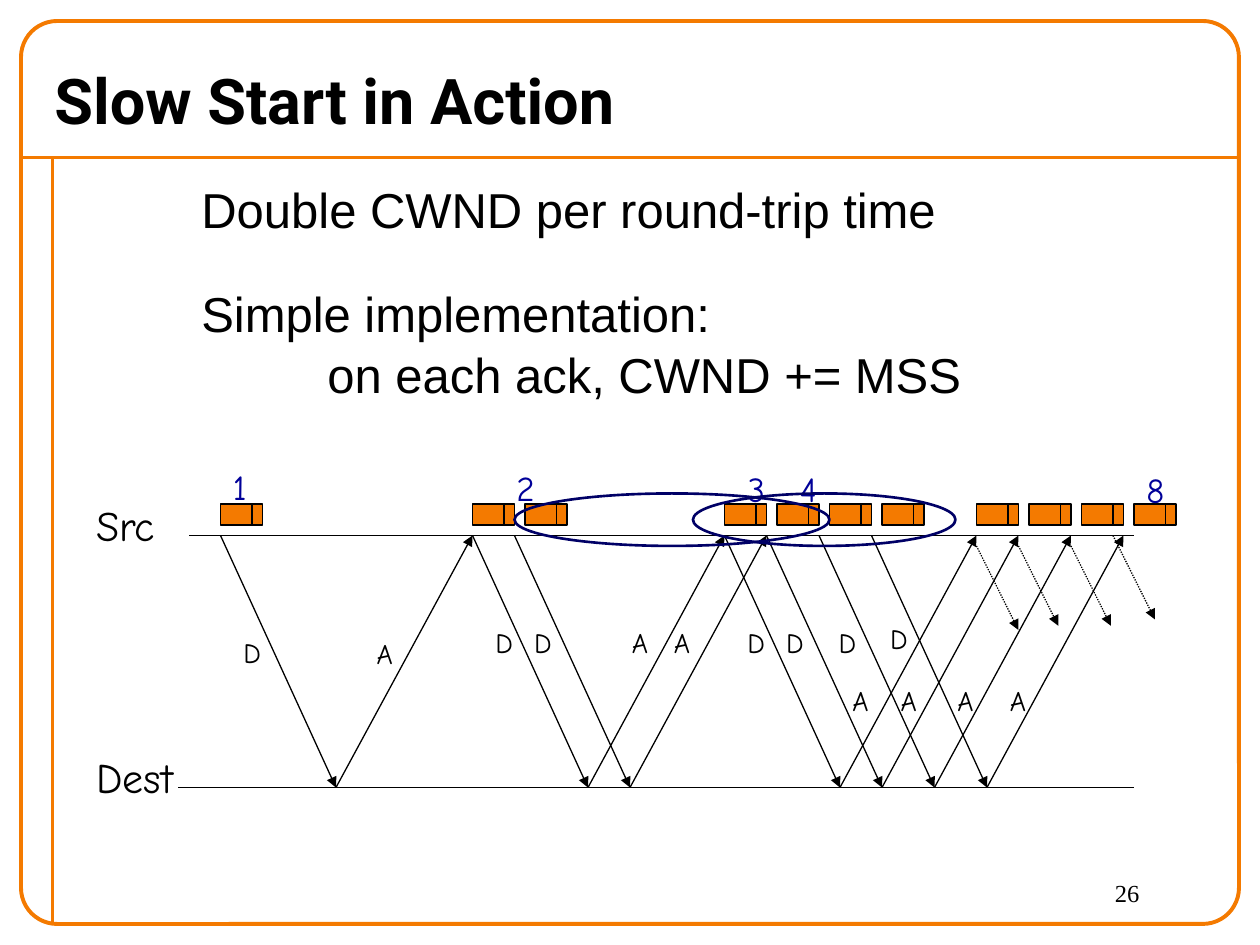
"""Build the slide on slow start, set out on a grid of twelfths of an inch."""
from typing import NamedTuple, Optional

from lxml import etree
from pptx import Presentation
from pptx.dml.color import RGBColor
from pptx.enum.dml import MSO_LINE
from pptx.enum.shapes import MSO_CONNECTOR, MSO_SHAPE
from pptx.enum.text import MSO_ANCHOR, MSO_AUTO_SIZE
from pptx.oxml.ns import qn
from pptx.util import Cm, Pt

LINE = MSO_CONNECTOR.STRAIGHT
RECT = MSO_SHAPE.RECTANGLE
ROUND = MSO_SHAPE.ROUNDED_RECTANGLE
OVAL = MSO_SHAPE.OVAL
DOTS = MSO_LINE.ROUND_DOT
MIDDLE = MSO_ANCHOR.MIDDLE
FIT = MSO_AUTO_SIZE.SHAPE_TO_FIT_TEXT

COLORS = {"ink": "000000", "orange": "F47A00", "count": "000099", "ring": "000066"}
HAND = "Comic Neue"
SRC, DEST = 51, 75
DOWN, UP = 11, 13


class Box(NamedTuple):
    """Left, top, width and height in grid steps."""
    x: float
    y: float
    w: float
    h: float


class Path(NamedTuple):
    """Start and end of a line in grid steps."""
    x1: float
    y1: float
    x2: float
    y2: float


class Style(NamedTuple):
    """Font, size, colour and weight of a text."""
    font: str
    size: int
    color: str = "ink"
    bold: bool = False


class Label(NamedTuple):
    """A short text and its left top corner in grid steps."""
    text: str
    x: float
    y: float


PACKETS = (21, 45, 50, 69, 74, 79, 84, 93, 98, 103, 108)
SENDS = (21, 45, 49, 69, 73, 78, 83)
NEXT = (
    Path(93, 52, 97, 60),
    Path(97, 52, 100.8, 59.6),
    Path(102, 52, 105.8, 59.6),
    Path(106, SRC, 110, 59),
)
RINGS = (Box(49, 47, 30, 5), Box(66, 47, 25, 5))
MARKS = (
    Label("D", 22, 59.9), Label("A", 34.7, 60),
    Label("D", 46, 59), Label("D", 49.7, 59),
    Label("A", 59, 59), Label("A", 63, 59),
    Label("D", 70, 59), Label("D", 73.7, 59),
    Label("D", 78.7, 59), Label("D", 83.6, 58.6),
    Label("A", 80, 64.5), Label("A", 84.6, 64.5),
    Label("A", 90, 64.5), Label("A", 95, 64.5),
)
COUNTS = (
    Label("1", 21, 43.7), Label("2", 48, 43.8), Label("3", 70, 43.9),
    Label("4", 75, 43.9), Label("8", 108, 44),
)
HOSTS = (Label("Src", 8, 47), Label("Dest", 8, 71))


def grid(steps: float) -> Cm:
    """Turn grid steps into a length."""
    return Cm(steps * 2.54 / 12)


def paint(name: str) -> RGBColor:
    """Look up a colour."""
    return RGBColor.from_string(COLORS[name])


def draw_line(slide, path: Path, color: str = "ink", width: float = 0.75,
              arrow: bool = False, dash: Optional[MSO_LINE] = None) -> None:
    """Draw a straight line, with an arrowhead at its end if asked."""
    line = slide.shapes.add_connector(LINE, *map(grid, path))
    line.line.color.rgb = paint(color)
    line.line.width = Pt(width)
    if dash is not None:
        line.line.dash_style = dash
    if arrow:
        etree.SubElement(line.line._get_or_add_ln(), qn("a:tailEnd"), type="triangle")
    etree.SubElement(line._element.spPr, qn("a:effectLst"))


def draw_shape(slide, kind: MSO_SHAPE, box: Box, color: str, width: float,
               fill: Optional[str] = None):
    """Draw an outlined shape, hollow unless a fill is given."""
    shape = slide.shapes.add_shape(kind, *map(grid, box))
    shape.shadow.inherit = False
    if fill:
        shape.fill.solid()
        shape.fill.fore_color.rgb = paint(fill)
    else:
        shape.fill.background()
    shape.line.color.rgb = paint(color)
    shape.line.width = Pt(width)
    return shape


def draw_text(slide, box: Box, lines: tuple[str, ...], style: Style, wrap: bool = True):
    """Write one paragraph per line and return the text frame."""
    frame = slide.shapes.add_textbox(*map(grid, box)).text_frame
    frame.word_wrap = wrap
    if not wrap:
        frame.auto_size = FIT
    frame.text = "\n".join(lines)
    for para in frame.paragraphs:
        para.font.name = style.font
        para.font.size = Pt(style.size)
        para.font.bold = style.bold
        para.font.color.rgb = paint(style.color)
    return frame


def draw_labels(slide, labels: tuple[Label, ...], size: Box, style: Style) -> None:
    """Write a set of labels in one style."""
    for label in labels:
        box = size._replace(x=label.x, y=label.y)
        draw_text(slide, box, (label.text,), style, wrap=False)


def draw_frame(slide) -> None:
    """Draw the border, title, body text and page number."""
    draw_line(slide, Path(2, 15, 118, 15), "orange", 2.25)
    draw_line(slide, Path(5, 15, 5, 88), "orange", 2.25)
    border = draw_shape(slide, ROUND, Box(2, 2, 116, 86), "orange", 2.25)
    border.adjustments[0] = 0.04
    draw_text(slide, Box(105, 83, 12, 5), ("26",), Style("Times New Roman", 14))
    title = draw_text(slide, Box(4, 5, 116, 9), ("Slow Start in Action",),
                      Style("Roboto", 36, bold=True))
    title.vertical_anchor = MIDDLE
    body = draw_text(slide, Box(18, 16.2, 83, 22), (
        "Double CWND per round-trip time",
        "Simple implementation:",
        "on each ack, CWND += MSS",
    ), Style("Arial", 28))
    for para in body.paragraphs:
        para.line_spacing = 1.05
    body.paragraphs[1].space_before = Pt(24)
    body.paragraphs[2]._p.get_or_add_pPr().set("marL", str(Cm(2.54)))


def draw_flow(slide) -> None:
    """Draw the two hosts, the packets and the data and ack arrows."""
    draw_line(slide, Path(18, SRC, 108, SRC))
    draw_line(slide, Path(17, DEST, 108, DEST))
    for x in SENDS:
        turn = x + DOWN
        draw_line(slide, Path(x, SRC, turn, DEST), arrow=True)
        draw_line(slide, Path(turn, DEST, turn + UP, SRC), arrow=True)
    for path in NEXT:
        draw_line(slide, path, arrow=True, dash=DOTS)
    for x in PACKETS:
        draw_shape(slide, RECT, Box(x, 48, 4, 2), "ink", 0.75, "orange")
        draw_line(slide, Path(x + 3, 48, x + 3, 50))
    draw_labels(slide, HOSTS, Box(0, 0, 10, 6), Style(HAND, 24))
    draw_labels(slide, MARKS, Box(0, 0, 4.3, 4.4), Style(HAND, 16))
    draw_labels(slide, COUNTS, Box(0, 0, 4.4, 5.2), Style(HAND, 20, "count"))
    for ring in RINGS:
        draw_shape(slide, OVAL, ring, "ring", 1.5)


def main() -> None:
    """Build and save the deck."""
    deck = Presentation()
    deck.slide_width, deck.slide_height = Cm(25.4), Cm(19.05)
    slide = deck.slides.add_slide(deck.slide_layouts[6])
    draw_frame(slide)
    draw_flow(slide)
    deck.save("out.pptx")


if __name__ == "__main__":
    main()
